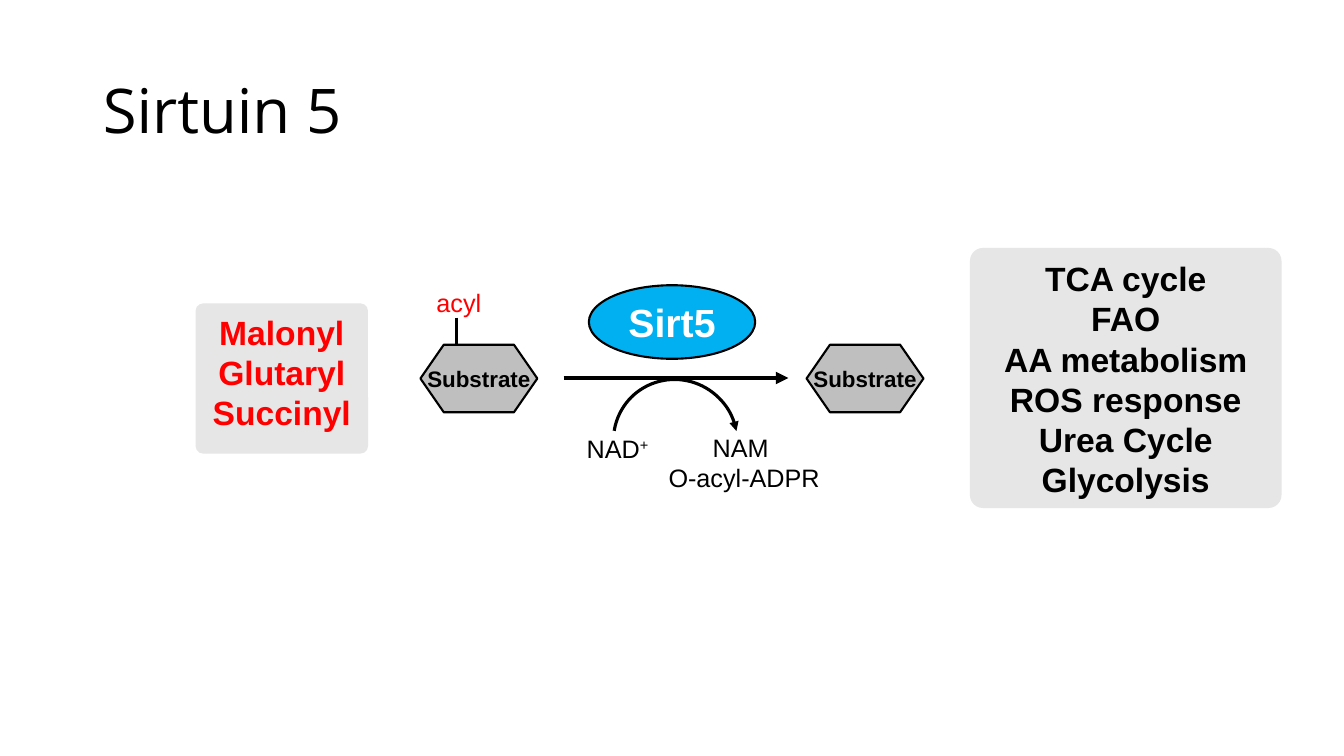
import lxml.etree
import pptx
import pptx.dml.color
import pptx.enum.shapes
import pptx.enum.text
import pptx.oxml.ns
import pptx.util
from pptx.util import Inches

BLACK = pptx.dml.color.RGBColor(0x00, 0x00, 0x00)
WHITE = pptx.dml.color.RGBColor(0xFF, 0xFF, 0xFF)
RED = pptx.dml.color.RGBColor(0xFF, 0x00, 0x00)
BLUE = pptx.dml.color.RGBColor(0x00, 0xB0, 0xF0)
GREY = pptx.dml.color.RGBColor(0xBF, 0xBF, 0xBF)
PALE_GREY = pptx.dml.color.RGBColor(0xE7, 0xE6, 0xE6)

SHAPE = pptx.enum.shapes.MSO_SHAPE
ANCHOR = pptx.enum.text.MSO_ANCHOR
ALIGN = pptx.enum.text.PP_ALIGN


def write(holder, lines, size, color=BLACK, font="Arial", bold=False, align=ALIGN.CENTER,
          anchor=ANCHOR.TOP, wrap=True, spacing=None, superscript=None):
    """Write one paragraph per line; superscript is appended to the last one."""
    frame = holder.text_frame
    frame.word_wrap = wrap
    frame.vertical_anchor = anchor
    for index, line in enumerate(lines):
        paragraph = frame.add_paragraph() if index else frame.paragraphs[0]
        paragraph.alignment = align
        if spacing:
            paragraph.line_spacing = spacing
        paragraph.add_run().text = line
    if superscript:
        raised = paragraph.add_run()
        raised.text = superscript
        raised.font._element.set("baseline", "30000")
    for paragraph in frame.paragraphs:
        for run in paragraph.runs:
            run.font.name = font
            run.font.size = pptx.util.Pt(size)
            run.font.bold = bold
            run.font.color.rgb = color


def add_filled(slide, preset, box, fill, outlined=True):
    shape = slide.shapes.add_shape(preset, *map(Inches, box))
    shape.shadow.inherit = False
    shape.fill.solid()
    shape.fill.fore_color.rgb = fill
    if outlined:
        shape.line.color.rgb = BLACK
        shape.line.width = pptx.util.Pt(1.5)
    else:
        shape.line.fill.background()
    return shape


def add_label(slide, box, lines, **style):
    label = slide.shapes.add_textbox(*map(Inches, box))
    write(label, lines, 18, wrap=False, **style)


def style_stroke(stroke, width, arrow=False):
    stroke.line.color.rgb = BLACK
    stroke.line.width = pptx.util.Pt(width)
    if arrow:
        line = stroke.line._get_or_add_ln()
        lxml.etree.SubElement(line, pptx.oxml.ns.qn("a:tailEnd"), type="triangle")


def add_line(slide, start, end, width, arrow=False):
    line = slide.shapes.add_connector(pptx.enum.shapes.MSO_CONNECTOR.STRAIGHT,
                                      *map(Inches, start + end))
    style_stroke(line, width, arrow)
    lxml.etree.SubElement(line._element.spPr, pptx.oxml.ns.qn("a:effectLst"))


def add_title(slide, box, text):
    title = slide.shapes.title
    title.left, title.top, title.width, title.height = map(Inches, box)
    write(title, [text], 44, font="Open Sans", align=ALIGN.LEFT,
          anchor=ANCHOR.MIDDLE, spacing=0.9)


def add_card(slide, box, lines, color):
    card = add_filled(slide, SHAPE.ROUNDED_RECTANGLE, box, PALE_GREY, outlined=False)
    card.adjustments[0] = 0.05
    card.text_frame.margin_top = Inches(0.06)
    write(card, lines, 24, color=color, bold=True)


def add_substrate(slide, left, top):
    hexagon = add_filled(slide, SHAPE.FLOWCHART_PREPARATION, (left, top, 1.16, 0.67), GREY)
    write(hexagon, ["Substrate"], 16, bold=True, anchor=ANCHOR.MIDDLE, wrap=False)


def add_cofactor_arc(slide, box):
    arc = slide.shapes.add_shape(SHAPE.ARC, *map(Inches, box))
    arc.shadow.inherit = False
    arc.rotation = 315
    arc.adjustments[0], arc.adjustments[1] = 140.92, 21.16
    arc.fill.background()
    style_stroke(arc, 2.25, arrow=True)


def add_reaction(slide, left, top):
    """Deacylation by Sirt5: acylated substrate, arrow with cofactors, free substrate."""
    enzyme = add_filled(slide, SHAPE.OVAL, (left + 1.67, top + 0.03, 1.65, 0.73), BLUE)
    write(enzyme, ["Sirt5"], 28, color=WHITE, bold=True, anchor=ANCHOR.MIDDLE)

    for offset in (0, 3.83):
        add_substrate(slide, left + offset, top + 0.62)
    bond = left + 0.36
    add_line(slide, (bond, top + 0.35), (bond, top + 0.62), 2.25)
    add_label(slide, (left + 0.06, top, 0.65, 0.4), ["acyl"], color=RED, align=ALIGN.LEFT)

    level = top + 0.95
    add_line(slide, (left + 1.42, level), (left + 3.65, level), 3, arrow=True)
    add_cofactor_arc(slide, (left + 1.92, level + 0.01, 1.22, 1.24))
    add_label(slide, (left + 1.55, top + 1.45, 0.83, 0.4), ["NAD"],
              align=ALIGN.LEFT, superscript="+")
    add_label(slide, (left + 2.35, top + 1.44, 1.72, 0.71), ["NAM ", "O-acyl-ADPR"])


def main():
    deck = pptx.Presentation()
    deck.slide_width, deck.slide_height = Inches(13.33), Inches(7.5)
    slide = deck.slides.add_slide(deck.slide_layouts.get_by_name("Title Only"))
    add_title(slide, (0.92, 0.4, 11.5, 1.45), "Sirtuin 5")
    add_reaction(slide, 4.17, 2.8)
    add_card(slide, (1.94, 3.01, 1.71, 1.49), ["Malonyl", "Glutaryl", "Succinyl"], RED)
    add_card(slide, (9.62, 2.46, 3.09, 2.58),
             ["TCA cycle", "FAO", "AA metabolism", "ROS response", "Urea Cycle", "Glycolysis"],
             BLACK)
    deck.save("out.pptx")


if __name__ == "__main__":
    main()
